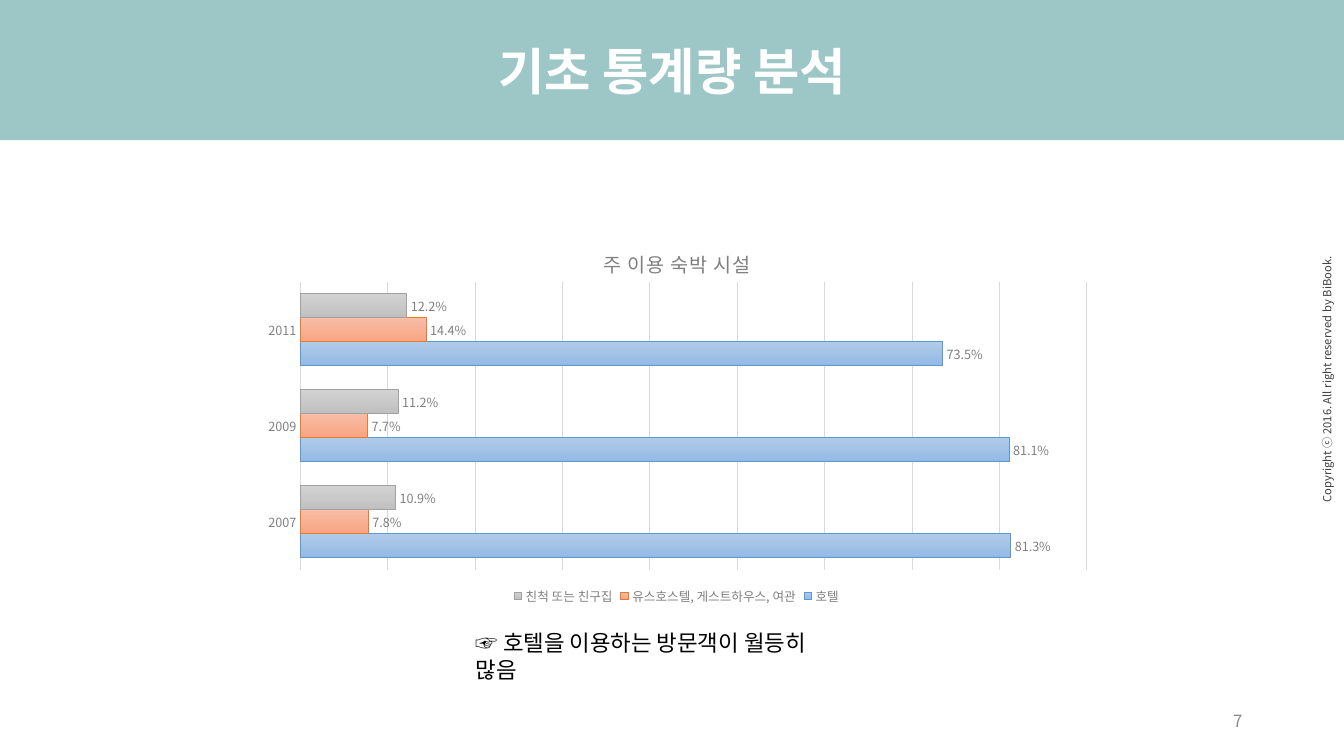
from dataclasses import dataclass

from lxml import etree
from pptx import Presentation
from pptx.chart.data import CategoryChartData
from pptx.dml.color import RGBColor
from pptx.enum.chart import XL_CHART_TYPE, XL_LABEL_POSITION, XL_LEGEND_POSITION, XL_TICK_MARK
from pptx.enum.text import MSO_ANCHOR, PP_ALIGN
from pptx.oxml import parse_xml
from pptx.oxml.ns import nsdecls, qn
from pptx.util import Inches, Pt

BAR = XL_CHART_TYPE.BAR_CLUSTERED
OUTSIDE_END = XL_LABEL_POSITION.OUTSIDE_END
LEGEND_BOTTOM = XL_LEGEND_POSITION.BOTTOM
NO_TICK = XL_TICK_MARK.NONE
TOP, MIDDLE = MSO_ANCHOR.TOP, MSO_ANCHOR.MIDDLE
LEFT, CENTER, RIGHT = PP_ALIGN.LEFT, PP_ALIGN.CENTER, PP_ALIGN.RIGHT


@dataclass(frozen=True)
class Theme:
    title_font: str = "Arial"
    font: str = "Noto Sans CJK KR"
    banner: str = "9DC6C7"
    white: str = "FFFFFF"
    ink: str = "000000"
    copyright: str = "404040"
    number: str = "8C8C8C"
    chart_text: str = "808080"
    grid: str = "D9D9D9"
    title_size: float = 36
    callout_size: float = 16
    chart_title_size: float = 14
    number_size: float = 12
    label_size: float = 9
    copyright_size: float = 8
    hairline: float = 0.75


# Series: name, values, gradient top, gradient bottom, outline
YEARS = ["2007", "2009", "2011"]
LODGINGS = [
    ("호텔", (0.813, 0.811, 0.735), "B1CBE9", "93B9E4", "5998D0"),
    ("유스호스텔, 게스트하우스, 여관", (0.078, 0.077, 0.144), "F7BDA5", "F8A582", "E87A30"),
    ("친척 또는 친구집", (0.109, 0.112, 0.122), "D2D2D2", "C0C0C0", "A1A1A1"),
]


class SlideBuilder:
    def __init__(self, slide, theme):
        self.s = slide
        self.theme = theme

    def style(self, font, size, color, name=None, bold=False):
        font.name = name or self.theme.font
        font.size = Pt(size)
        font.bold = bold
        font.color.rgb = RGBColor.from_string(color)

    def line(self, line, color):
        line.color.rgb = RGBColor.from_string(color)
        line.width = Pt(self.theme.hairline)

    def place(self, sp, box):
        sp.left, sp.top, sp.width, sp.height = (Inches(v) for v in box)

    def set_text(self, sp, text, size, color, align=LEFT, anchor=TOP, wrap=True, name=None,
                 bold=False):
        tf = sp.text_frame
        tf.text = text
        tf.word_wrap = wrap
        tf.vertical_anchor = anchor
        p = tf.paragraphs[0]
        p.alignment = align
        r = p.runs[0]
        self.style(r.font, size, color, name, bold)
        ea = etree.SubElement(r.font._element, qn("a:ea"))
        ea.set("typeface", self.theme.font)

    def title(self, text, box):
        t = self.theme
        sp = self.s.shapes.title
        self.place(sp, box)
        sp.fill.solid()
        sp.fill.fore_color.rgb = RGBColor.from_string(t.banner)
        self.set_text(sp, text, t.title_size, t.white, CENTER, MIDDLE, name=t.title_font, bold=True)

    def text(self, text, box, size, color, rotation=0, **options):
        sp = self.s.shapes.add_textbox(*(Inches(v) for v in box))
        sp.rotation = rotation
        self.set_text(sp, text, size, color, **options)

    def layout(self, parent, before, inner=False, **fractions):
        """Place a chart part by fractions of the chart area."""
        for old in parent.findall(qn("c:layout")):
            parent.remove(old)
        target = '<c:layoutTarget val="inner"/>' if inner else ""
        modes = '<c:xMode val="edge"/><c:yMode val="edge"/>'
        sizes = "".join(f'<c:{k} val="{v}"/>' for k, v in fractions.items())
        layout = parse_xml(
            f'<c:layout {nsdecls("c")}><c:manualLayout>{target}{modes}{sizes}'
            "</c:manualLayout></c:layout>")
        parent.find(qn(before)).addprevious(layout)

    def bar_chart(self, title, box, years, lodgings):
        t = self.theme
        data = CategoryChartData(number_format="0.0%")
        data.categories = years
        for name, values, *_ in lodgings:
            data.add_series(name, values)
        chart = self.s.shapes.add_chart(BAR, *(Inches(v) for v in box), data).chart
        self.style(chart.font, t.label_size, t.chart_text)

        # Chart title and legend
        chart.has_title = True
        tf = chart.chart_title.text_frame
        tf.text = title
        r = tf.paragraphs[0].runs[0]
        self.style(r.font, t.chart_title_size, t.chart_text)
        r.font._element.set("spc", "50")
        chart.chart_title.include_in_layout = False
        self.layout(chart.chart_title._element, "c:overlay", x=0.41, y=0.06)
        chart.has_legend = True
        chart.legend.position = LEGEND_BOTTOM
        chart.legend.include_in_layout = False
        self.style(chart.legend.font, t.label_size, t.chart_text)

        # Axes
        years_axis, share_axis = chart.category_axis, chart.value_axis
        years_axis.major_tick_mark = years_axis.minor_tick_mark = NO_TICK
        self.line(years_axis.format.line, t.grid)
        self.style(years_axis.tick_labels.font, t.label_size, t.chart_text)
        share_axis.minimum_scale, share_axis.maximum_scale = 0, 0.9
        share_axis.major_unit = 0.1
        share_axis.has_major_gridlines = True
        self.line(share_axis.major_gridlines.format.line, t.grid)
        share_axis.visible = False

        # Bars and value labels
        plot = chart.plots[0]
        plot.gap_width, plot.overlap = 100, 0
        plot.vary_by_categories = False
        for series, (_, _, top, bottom, outline) in zip(plot.series, lodgings):
            fill = series.format.fill
            fill.gradient()
            fill.gradient_angle = 270
            for stop, color in zip(fill.gradient_stops, (top, bottom)):
                stop.color.rgb = RGBColor.from_string(color)
            self.line(series.format.line, outline)
            labels = series.data_labels
            labels.show_value = True
            labels.position = OUTSIDE_END
            labels.number_format = "0.0%"
            labels.number_format_is_linked = False
            self.style(labels.font, t.label_size, t.chart_text)
        plot_area = chart._chartSpace.chart.plotArea
        self.layout(plot_area, "c:barChart", inner=True, x=0.06, y=0.16, w=0.92, h=0.74)


def main():
    prs = Presentation()
    prs.slide_width, prs.slide_height = Inches(13.33), Inches(7.5)
    theme = Theme()
    slide = SlideBuilder(prs.slides.add_slide(prs.slide_layouts[5]), theme)

    # Title banner
    slide.title("기초 통계량 분석", (0, 0, 13.33, 1.39))

    # Copyright along the right edge and page number
    slide.text("Copyright ⓒ 2016. All right reserved by BiBook.", (11.83, 3.63, 2.67, 0.24),
               theme.copyright_size, theme.copyright, rotation=270, wrap=False)
    slide.text("7", (9.42, 6.95, 3, 0.4), theme.number_size, theme.number,
               align=RIGHT, anchor=MIDDLE)

    # Lodging chart with its conclusion
    slide.text("☞ 호텔을 이용하는 방문객이 월등히 많음", (4.62, 6.19, 3.77, 0.37),
               theme.callout_size, theme.ink)
    slide.bar_chart("주 이용 숙박 시설", (2.47, 2.18, 8.48, 3.86), YEARS, LODGINGS)

    prs.save("out.pptx")


if __name__ == "__main__":
    main()
